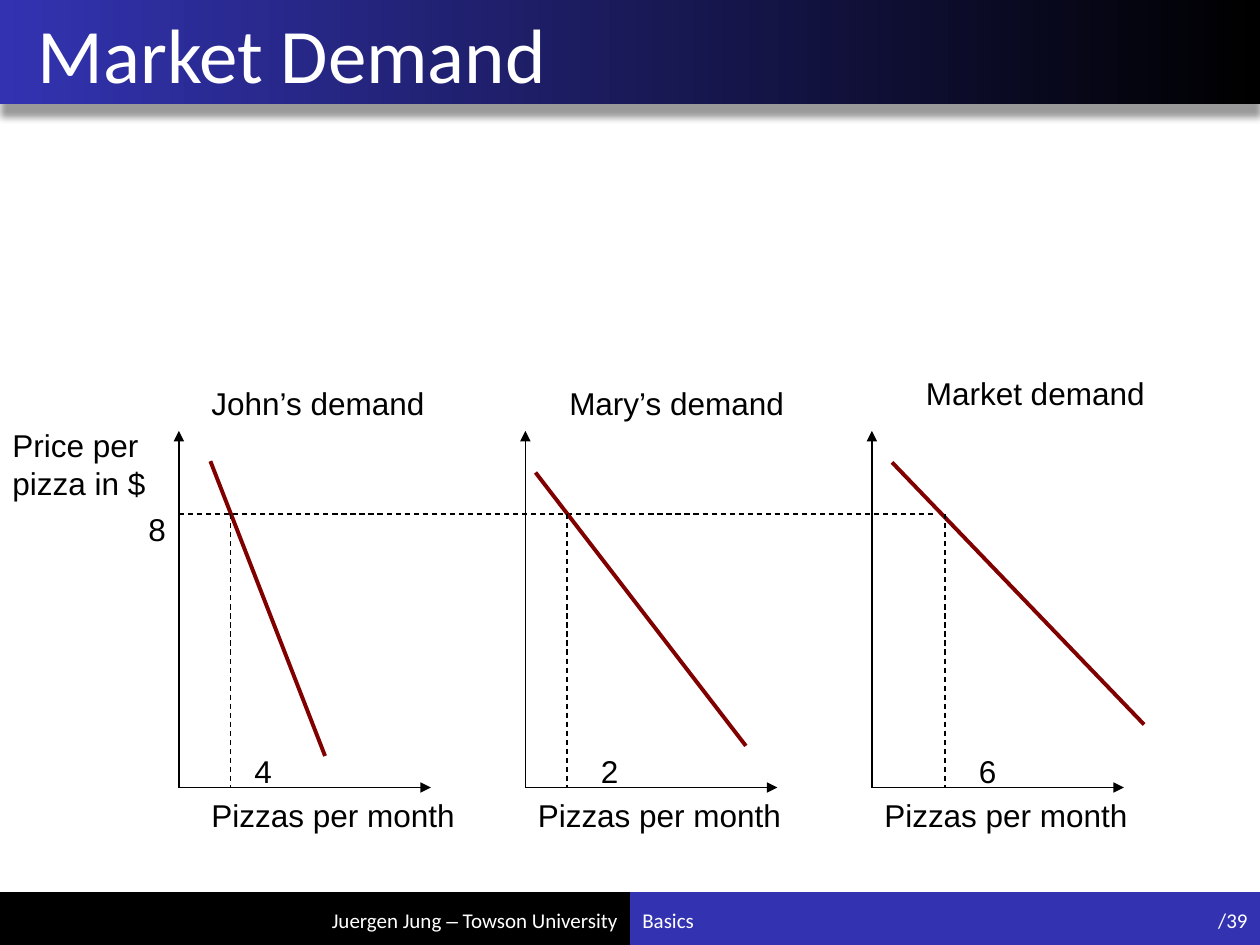
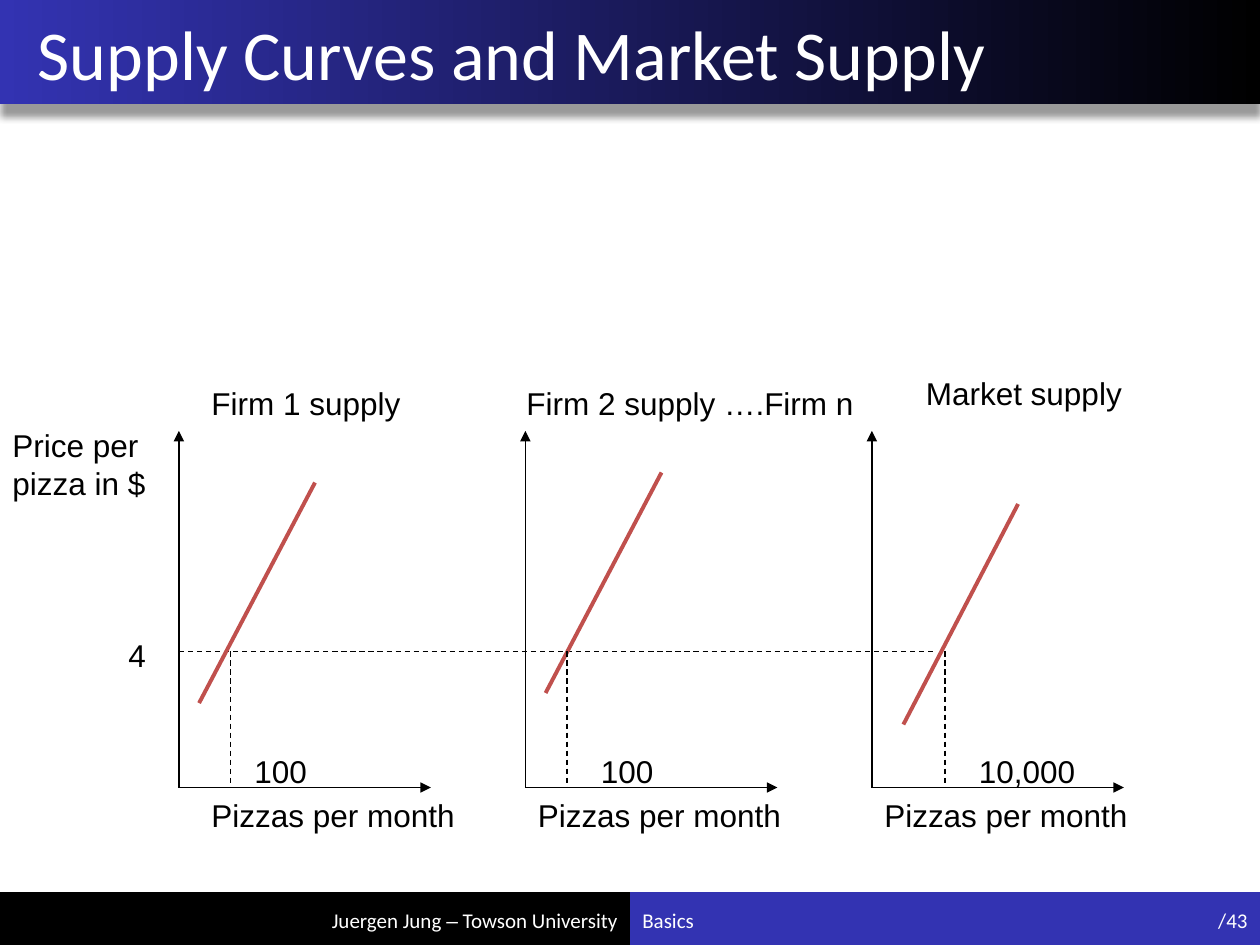
from lxml.etree import SubElement
from pptx import Presentation
from pptx.dml.color import RGBColor
from pptx.enum.dml import MSO_LINE as Dash
from pptx.enum.shapes import MSO_CONNECTOR as Link, MSO_SHAPE as Shape
from pptx.enum.text import MSO_ANCHOR as Anchor, PP_ALIGN as Align
from pptx.oxml.ns import qn
from pptx.util import Inches, Pt

WHITE, BLACK, BLUE = "FFFFFF", "000000", "3333B2"
MAROON, RED = "800000", "C0504D"
HEAD, BODY = "Calibri", "Arial"

BASE, TOP, WIDE = 6.25, 3.42, 2  # foot and tip of the axes, length along x
STARTS = [1.42 + 2.75 * i for i in range(3)]
DROPS = [1.83, 4.5, 7.5]  # where each curve meets the price
UNITS = [1.58, 4.17, 6.92]  # left edges of the "per month" labels
COUNTS = [1.92, 4.67, 7.67]  # left edges of the quantities


def color(code):
    return RGBColor.from_string(code)


class Deck:
    def __init__(self):
        self.show = Presentation()
        self.show.slide_width, self.show.slide_height = Inches(10), Inches(7.5)
        self.slide = None

    def band(self, x, y, w, h, fill):
        box = self.slide.shapes.add_shape(
            Shape.RECTANGLE, Inches(x), Inches(y), Inches(w), Inches(h))
        box.shadow.inherit = False
        box.line.fill.background()
        box.fill.solid()
        box.fill.fore_color.rgb = color(fill)
        return box

    def header(self):
        """Draw the fading title band with its soft drop shadow."""
        box = self.band(0, 0, 10, 0.83, BLUE)
        box.fill.gradient()
        box.fill.gradient_angle = 0
        for stop, code in zip(box.fill.gradient_stops, (BLUE, BLACK)):
            stop.color.rgb = color(code)
        effect = box._element.spPr.find(qn("a:effectLst"))
        shade = SubElement(effect, qn("a:outerShdw"), blurRad=str(Pt(4)),
                           dist=str(Pt(7)), dir="5400000", rotWithShape="0")
        tint = SubElement(shade, qn("a:srgbClr"), val=BLACK)
        SubElement(tint, qn("a:alpha"), val="40000")

    def text(self, words, x, y, w, h=0.4, size=18, font=BODY, ink=BLACK,
             align=Align.LEFT, anchor=Anchor.TOP, inset=0.1):
        """Add a text box; words is a string or a list of (string, font)."""
        box = self.slide.shapes.add_textbox(
            Inches(x), Inches(y), Inches(w), Inches(h))
        frame = box.text_frame
        frame.word_wrap = True
        frame.vertical_anchor = anchor
        frame.margin_left = Inches(inset)
        para = frame.paragraphs[0]
        para.alignment = align
        for part, face in [(words, font)] if isinstance(words, str) else words:
            run = para.add_run()
            run.text = part
            run.font.name, run.font.size = face, Pt(size)
            run.font.color.rgb = color(ink)

    def line(self, start, end, ink=BLACK, width=0.75, dash=False, arrow=False):
        link = self.slide.shapes.add_connector(
            Link.STRAIGHT, *(Inches(v) for v in (*start, *end)))
        link.line.color.rgb = color(ink)
        link.line.width = Pt(width)
        if dash:
            link.line.dash_style = Dash.DASH
        shape = link._element.spPr
        if arrow:
            SubElement(shape.find(qn("a:ln")), qn("a:tailEnd"), type="triangle")
        SubElement(shape, qn("a:effectLst"))

    def page(self, title, size, total):
        """Start a slide with its title band and footer."""
        self.slide = self.show.slides.add_slide(self.show.slide_layouts[6])
        self.band(5, 7.08, 5, 0.42, BLUE)
        self.band(0, 7.08, 5, 0.42, BLACK)
        self.header()
        self.text(title, 0, 0, 9.75, 0.83, size=size, font=HEAD, ink=WHITE,
                  anchor=Anchor.MIDDLE, inset=0.3)
        foot = dict(size=12, font=HEAD, ink=WHITE, anchor=Anchor.MIDDLE)
        author = [("Juergen Jung ", HEAD), ("–", BODY),
                  (" Towson University", HEAD)]
        self.text(author, 1.17, 7.1, 3.83, align=Align.RIGHT, **foot)
        self.text("Basics", 5, 7.1, 3.83, **foot)
        self.text(total, 8.83, 7.1, 1.17, align=Align.RIGHT, **foot)

    def graphs(self, price, level, spot, ink, panels):
        """Draw three graphs that share one price.

        level is the height of the price line, spot the place of its label;
        a panel holds name, name place, quantity and the two curve ends.
        """
        self.line((STARTS[0], level), (7.42, level), dash=True)
        self.text("Price per pizza in $", 0, 3.33, 1.33, 0.7)
        self.text(price, *spot, 0.58)
        places = zip(STARTS, DROPS, UNITS, COUNTS, panels)
        for x, drop, unit, count, (name, place, amount, start, end) in places:
            self.line((x, BASE), (x, TOP), arrow=True)
            self.line((x, BASE), (x + WIDE, BASE), arrow=True)
            self.line(start, end, ink=ink, width=2.25)
            self.line((drop, level), (drop, BASE), dash=True)
            self.text("Pizzas per month", unit, 6.27, 2.6)
            self.text(amount, count, 5.92, 1)
            self.text(name, *place, 3 if x < 6 else 2)


def main():
    deck = Deck()
    deck.page("Market Demand", 44, "/39")
    deck.graphs("8", 4.08, (1.08, 4), MAROON, [
        ("John’s demand", (1.58, 3), "4", (1.67, 3.66), (2.58, 6)),
        ("Mary’s demand", (4.42, 3), "2", (4.25, 3.75), (5.92, 5.92)),
        ("Market demand", (7.25, 2.92), "6", (7.08, 3.67), (9.08, 5.75)),
    ])
    deck.page("Supply Curves and Market Supply", 40, "/43")
    deck.graphs("4", 5.17, (0.92, 5), RED, [
        ("Firm 1 supply", (1.58, 3), "100", (1.58, 5.58), (2.5, 3.83)),
        ("Firm 2 supply ….Firm n", (4.08, 3), "100", (4.33, 5.5), (5.25, 3.75)),
        ("Market supply", (7.25, 2.92), "10,000", (7.17, 5.75), (8.08, 4)),
    ])
    deck.show.save("out.pptx")


if __name__ == "__main__":
    main()
